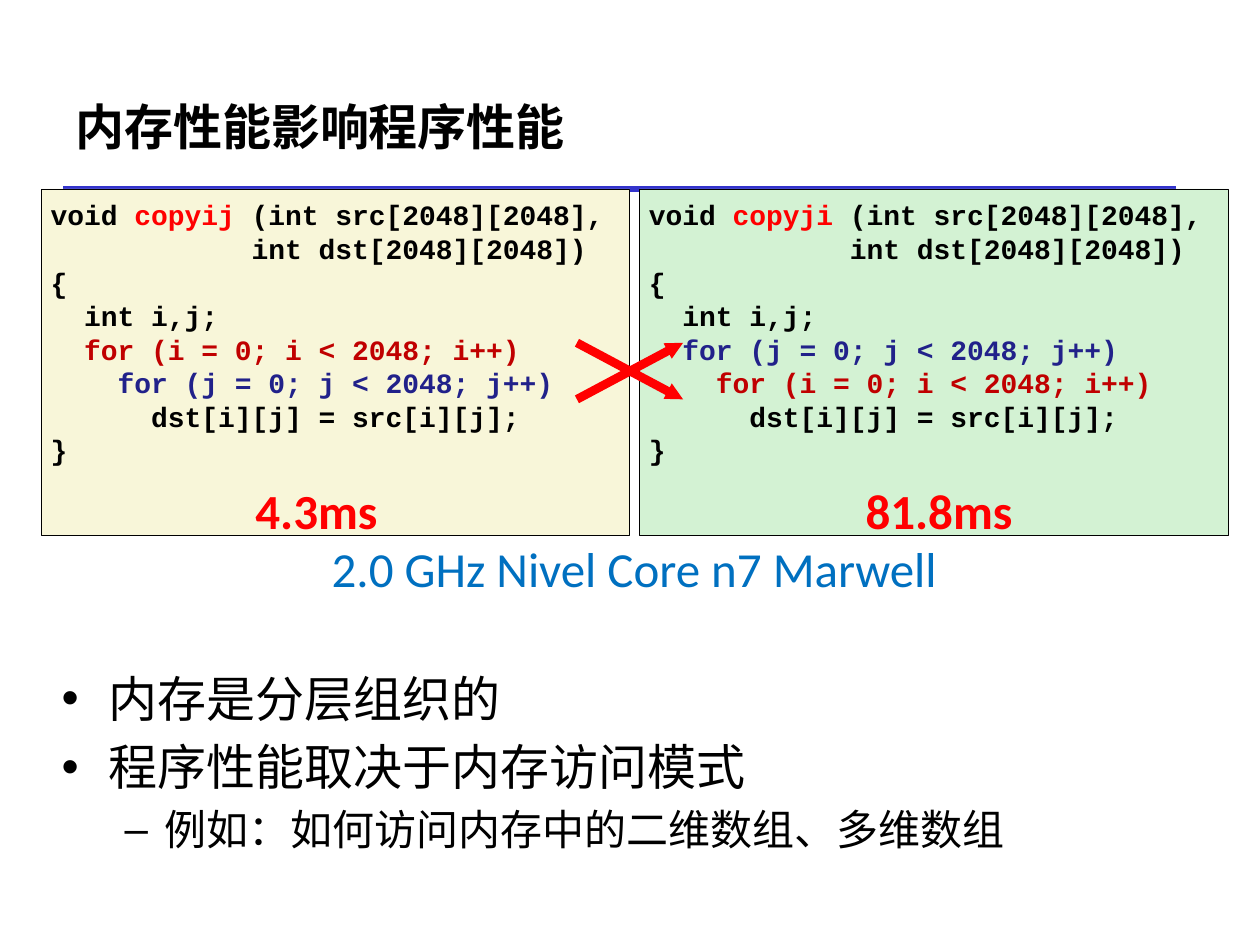
from dataclasses import dataclass

from lxml import etree
from pptx import Presentation
from pptx.dml.color import RGBColor
from pptx.enum.shapes import MSO_CONNECTOR, MSO_SHAPE
from pptx.enum.text import MSO_ANCHOR, MSO_AUTO_SIZE, PP_ALIGN
from pptx.oxml.ns import qn
from pptx.util import Cm, Pt

STRAIGHT = MSO_CONNECTOR.STRAIGHT
RECTANGLE = MSO_SHAPE.RECTANGLE
TOP, MIDDLE = MSO_ANCHOR.TOP, MSO_ANCHOR.MIDDLE
LEFT, CENTER = PP_ALIGN.LEFT, PP_ALIGN.CENTER
NO_FIT = MSO_AUTO_SIZE.NONE

BLACK = RGBColor(0x00, 0x00, 0x00)
RED = RGBColor(0xFF, 0x00, 0x00)
DARK_RED = RGBColor(0xC0, 0x00, 0x00)
NAVY = RGBColor(0x21, 0x21, 0x8A)
BLUE = RGBColor(0x00, 0x70, 0xC0)
RULE_BLUE = RGBColor(0x33, 0x33, 0xCC)
CREAM = RGBColor(0xF8, 0xF6, 0xD9)
MINT = RGBColor(0xD3, 0xF2, 0xD3)

HEADING_FONT, CODE_FONT, RESULT_FONT = "Comic Neue", "Courier New", "Calibri"

PANEL_LEFT, PANEL_TOP = 0.84, 3.81
PANEL_WIDTH, PANEL_HEIGHT, PANEL_GAP = 11.86, 6.99, 0.2
ARROW_LEFT, ARROW_RIGHT, ARROW_HIGH, ARROW_LOW = 11.63, 13.77, 6.91, 8.05

LOOP_COLORS = {"i": DARK_RED, "j": NAVY}


@dataclass(frozen=True)
class CodePanel:
    function: str
    loop_order: str
    fill: RGBColor


@dataclass(frozen=True)
class Bullet:
    text: str
    level: int
    size: int


PANELS = [CodePanel("copyij", "ij", CREAM), CodePanel("copyji", "ji", MINT)]
BULLETS = [
    Bullet("内存是分层组织的", 0, 28),
    Bullet("程序性能取决于内存访问模式", 0, 28),
    Bullet("例如：如何访问内存中的二维数组、多维数组", 1, 24),
]


def place(shape, left: float, top: float, width: float, height: float) -> None:
    """Move and size a shape, in centimetres."""
    shape.left, shape.top = Cm(left), Cm(top)
    shape.width, shape.height = Cm(width), Cm(height)


def set_frame(frame, inset: float, anchor) -> None:
    settings = {"word_wrap": True, "auto_size": NO_FIT, "vertical_anchor": anchor}
    for side in ("left", "top", "right", "bottom"):
        settings[f"margin_{side}"] = Cm(inset)
    for name, value in settings.items():
        setattr(frame, name, value)


def add_span(para, text: str, color: RGBColor, **style) -> None:
    span = para.add_run()
    span.text = text
    span.font.color.rgb = color
    for name, value in style.items():
        setattr(span.font, name, value)


def next_paragraph(frame, index: int):
    return frame.paragraphs[0] if index == 0 else frame.add_paragraph()


def add_line(shapes, start: tuple[float, float], end: tuple[float, float],
             color: RGBColor, width: float, arrow: bool = False) -> None:
    line = shapes.add_connector(STRAIGHT, *map(Cm, start + end))
    line.line.color.rgb = color
    line.line.width = Pt(width)
    properties = line._element.spPr
    if arrow:
        etree.SubElement(properties.find(qn("a:ln")), qn("a:tailEnd"),
                         type="triangle", w="sm", len="sm")
    etree.SubElement(properties, qn("a:effectLst"))


def code_lines(panel: CodePanel) -> list[list[tuple[str, RGBColor]]]:
    """Return the coloured spans of each line of a panel's function."""
    loops = [
        [("  " * depth, BLACK),
         (f"for ({name} = 0; {name} < 2048; {name}++)", LOOP_COLORS[name])]
        for depth, name in enumerate(panel.loop_order, start=1)
    ]
    return [
        [("void ", BLACK), (f"{panel.function} ", RED), ("(int src[2048][2048],", BLACK)],
        [("            int dst[2048][2048])", BLACK)],
        [("{", BLACK)],
        [("  int i,j;", BLACK)],
        *loops,
        [("      dst[i][j] = src[i][j];", BLACK)],
        [("}", BLACK)],
    ]


def add_code_panel(slide, panel: CodePanel, column: int) -> None:
    left = PANEL_LEFT + column * (PANEL_WIDTH + PANEL_GAP)
    box = slide.shapes.add_shape(
        RECTANGLE, Cm(left), Cm(PANEL_TOP), Cm(PANEL_WIDTH), Cm(PANEL_HEIGHT))
    box.shadow.inherit = False
    box.fill.solid()
    box.fill.fore_color.rgb = panel.fill
    box.line.color.rgb = BLACK
    box.line.width = Pt(0.5)
    set_frame(box.text_frame, 0.18, TOP)
    for index, spans in enumerate(code_lines(panel)):
        para = next_paragraph(box.text_frame, index)
        para.alignment = LEFT
        for text, color in spans:
            add_span(para, text, color, name=CODE_FONT, size=Pt(16), bold=True)


def add_title(slide) -> None:
    title = slide.shapes.title
    place(title, 1.27, 1.27, 22.43, 2.54)
    set_frame(title.text_frame, 0.25, MIDDLE)
    para = title.text_frame.paragraphs[0]
    para.alignment = LEFT
    add_span(para, "内存性能影响程序性能", BLACK,
             name=HEADING_FONT, size=Pt(28), bold=True)


def add_bullets(slide) -> None:
    body = slide.placeholders[1]
    place(body, 0.99, 13.34, 20.5, 5.28)
    body.text_frame.auto_size = NO_FIT
    for index, bullet in enumerate(BULLETS):
        para = next_paragraph(body.text_frame, index)
        para.level = bullet.level
        if index == 0:
            para.space_before = Pt(0)
        add_span(para, bullet.text, BLACK, name=HEADING_FONT, size=Pt(bullet.size))


def add_results(slide) -> None:
    box = slide.shapes.add_textbox(Cm(5.05), Cm(9.58), Cm(15.47), Cm(2.62))
    frame = box.text_frame
    set_frame(frame, 0.1, TOP)
    style = {"name": RESULT_FONT, "size": Pt(28)}

    times = frame.paragraphs[0]
    tabs = etree.SubElement(times._p.get_or_add_pPr(), qn("a:tabLst"))
    etree.SubElement(tabs, qn("a:tab"), pos=str(Cm(12.3)), algn="l")
    add_span(times, "4.3ms\t81.8ms", RED, bold=True, **style)

    processor = frame.add_paragraph()
    processor.alignment = CENTER
    add_span(processor, "2.0 GHz Nivel Core n7 Marwell", BLUE, bold=False, **style)


def main() -> None:
    deck = Presentation()
    deck.slide_width, deck.slide_height = Cm(25.4), Cm(19.05)
    slide = deck.slides.add_slide(deck.slide_layouts[1])

    add_title(slide)
    add_bullets(slide)
    add_line(slide.shapes, (1.27, 3.81), (23.7, 3.81), RULE_BLUE, 3)
    for column, panel in enumerate(PANELS):
        add_code_panel(slide, panel, column)

    swap = slide.shapes.add_group_shape()
    for start, end in ((ARROW_HIGH, ARROW_LOW), (ARROW_LOW, ARROW_HIGH)):
        add_line(swap.shapes, (ARROW_LEFT, start), (ARROW_RIGHT, end), RED, 5, arrow=True)
    add_results(slide)

    deck.save("out.pptx")


if __name__ == "__main__":
    main()
